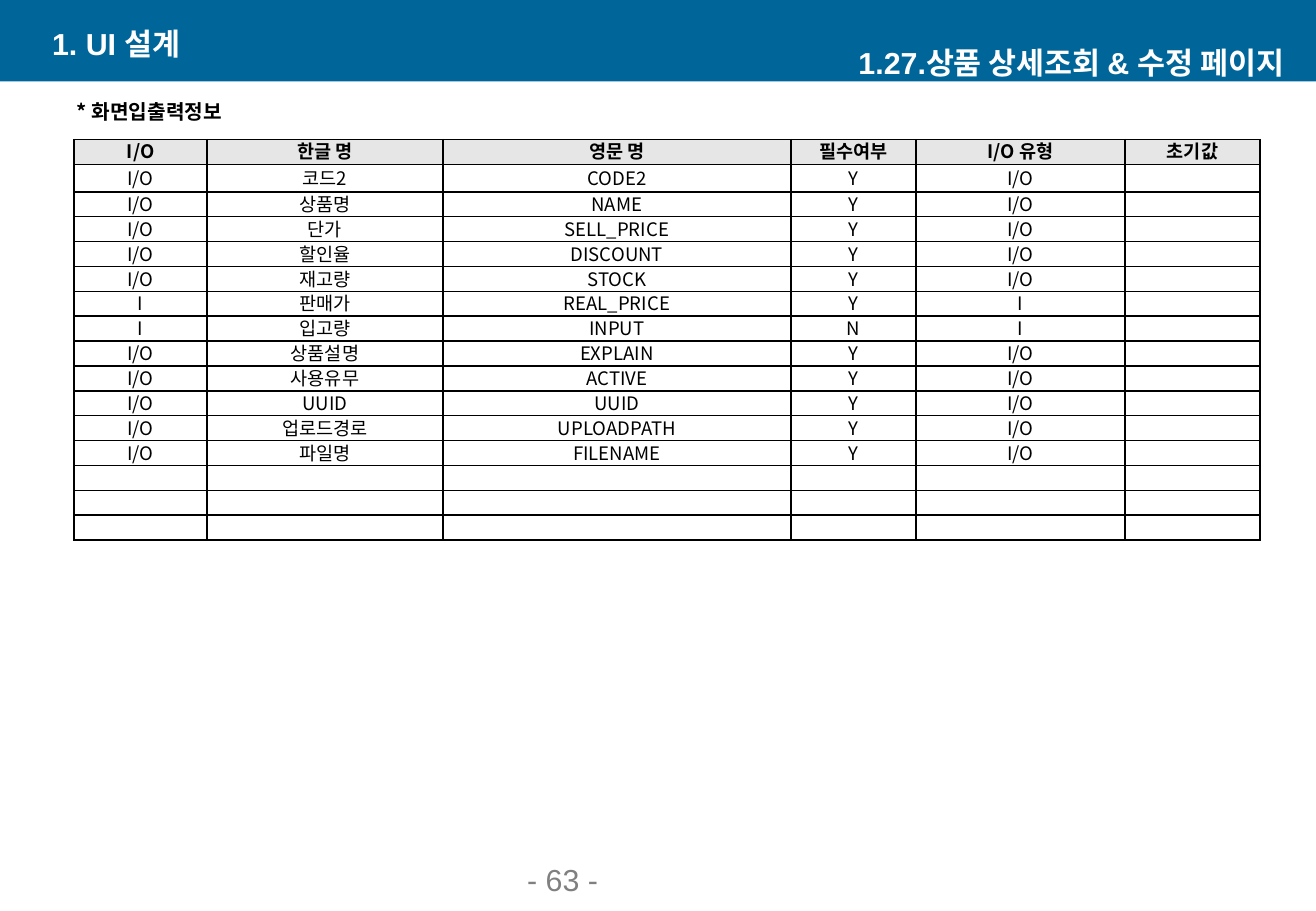
from lxml import etree
from pptx import Presentation
from pptx.dml.color import RGBColor
from pptx.enum.shapes import MSO_SHAPE
from pptx.enum.text import MSO_ANCHOR, PP_ALIGN
from pptx.oxml.ns import qn
from pptx.util import Pt

PX = 4572  # 200 px to the inch
BLUE = RGBColor(0x00, 0x66, 0x99)
WHITE = RGBColor(0xFF, 0xFF, 0xFF)
BLACK = RGBColor(0x00, 0x00, 0x00)
GRAY = RGBColor(0x80, 0x80, 0x80)
HEADER_GRAY = RGBColor(0xE6, 0xE6, 0xE6)
LEFT, CENTER, RIGHT = PP_ALIGN.LEFT, PP_ALIGN.CENTER, PP_ALIGN.RIGHT
MIDDLE, BOTTOM, TOP = MSO_ANCHOR.MIDDLE, MSO_ANCHOR.BOTTOM, MSO_ANCHOR.TOP
LATIN, KOREAN = "Arial", "Noto Sans CJK KR"

COLUMN_WIDTHS = [219, 388, 573, 206, 344, 222]
HEADER = ["I/O", "한글 명", "영문 명", "필수여부", "I/O 유형", "초기값"]
FIELDS = [
    ("I/O", "코드2", "CODE2", "Y"),
    ("I/O", "상품명", "NAME", "Y"),
    ("I/O", "단가", "SELL_PRICE", "Y"),
    ("I/O", "할인율", "DISCOUNT", "Y"),
    ("I/O", "재고량", "STOCK", "Y"),
    ("I", "판매가", "REAL_PRICE", "Y"),
    ("I", "입고량", "INPUT", "N"),
    ("I/O", "상품설명", "EXPLAIN", "Y"),
    ("I/O", "사용유무", "ACTIVE", "Y"),
    ("I/O", "UUID", "UUID", "Y"),
    ("I/O", "업로드경로", "UPLOADPATH", "Y"),
    ("I/O", "파일명", "FILENAME", "Y"),
]
EMPTY_ROWS = 3
ROW_HEIGHT, FIRST_FIELD_HEIGHT = 41, 45


def write(frame, text, size, font, color, bold, align):
    """Fill the frame's only paragraph and return it."""
    paragraph = frame.paragraphs[0]
    paragraph.text = text
    paragraph.alignment = align
    paragraph.font.size = Pt(size)
    paragraph.font.name = font
    paragraph.font.bold = bold
    paragraph.font.color.rgb = color
    return paragraph


def add_borders(cell):
    properties = cell._tc.get_or_add_tcPr()
    for index, side in enumerate(("lnL", "lnR", "lnT", "lnB")):
        line = etree.Element(qn(f"a:{side}"), w=str(Pt(1)))
        fill = etree.SubElement(line, qn("a:solidFill"))
        etree.SubElement(fill, qn("a:srgbClr"), val=str(BLACK))
        properties.insert(index, line)


presentation = Presentation()
presentation.slide_width = 2166 * PX
presentation.slide_height = 1500 * PX
slide = presentation.slides.add_slide(presentation.slide_layouts[6])

banner = slide.shapes.add_shape(MSO_SHAPE.RECTANGLE, 0, 0, 2166 * PX, 134 * PX)
banner.shadow.inherit = False
banner.fill.solid()
banner.fill.fore_color.rgb = BLUE
banner.line.fill.background()

# text, left, top, width, height, right inset, size, font, color, bold, align, anchor, wrap
labels = [
    ("- 63 -", 848, 1426, 452, 62, 20, 18, LATIN, GRAY, False, LEFT, BOTTOM, True),
    ("* 화면입출력정보", 94, 154, 304, 58, 20, 12, KOREAN, BLACK, True, CENTER, TOP, False),
    ("1. UI 설계", 66, 38, 876, 66, 20, 18, LATIN, WHITE, True, LEFT, MIDDLE, True),
    ("1.27.상품 상세조회 & 수정 페이지", 1290, 70, 876, 66, 52, 18, LATIN, WHITE, True,
     RIGHT, MIDDLE, True),
]
for text, left, top, width, height, inset, size, font, color, bold, align, anchor, wrap in labels:
    label = slide.shapes.add_textbox(left * PX, top * PX, width * PX, height * PX)
    frame = label.text_frame
    frame.word_wrap = wrap
    frame.vertical_anchor = anchor
    frame.margin_right = inset * PX
    write(frame, text, size, font, color, bold, align)

rows = [HEADER]
rows += [(io, korean, english, required, io, "") for io, korean, english, required in FIELDS]
rows += [[""] * len(HEADER)] * EMPTY_ROWS
table_height = ROW_HEIGHT * (len(rows) - 1) + FIRST_FIELD_HEIGHT
field_table = slide.shapes.add_table(
    len(rows), len(HEADER), 122 * PX, 230 * PX, sum(COLUMN_WIDTHS) * PX, table_height * PX
).table
field_table.first_row = False
field_table.horz_banding = False
for column, width in zip(field_table.columns, COLUMN_WIDTHS):
    column.width = width * PX
for row_index, values in enumerate(rows):
    is_header = row_index == 0
    row_height = FIRST_FIELD_HEIGHT if row_index == 1 else ROW_HEIGHT
    field_table.rows[row_index].height = row_height * PX
    for column_index, value in enumerate(values):
        cell = field_table.cell(row_index, column_index)
        cell.margin_left = cell.margin_right = (14 if is_header else 2) * PX
        cell.margin_top = (0 if is_header else 2) * PX
        cell.margin_bottom = 0
        cell.vertical_anchor = MIDDLE
        cell.fill.solid()
        cell.fill.fore_color.rgb = HEADER_GRAY if is_header else WHITE
        paragraph = write(cell.text_frame, value, 11, KOREAN, BLACK, is_header, CENTER)
        paragraph.line_spacing = Pt(14)
        add_borders(cell)

presentation.save("out.pptx")
